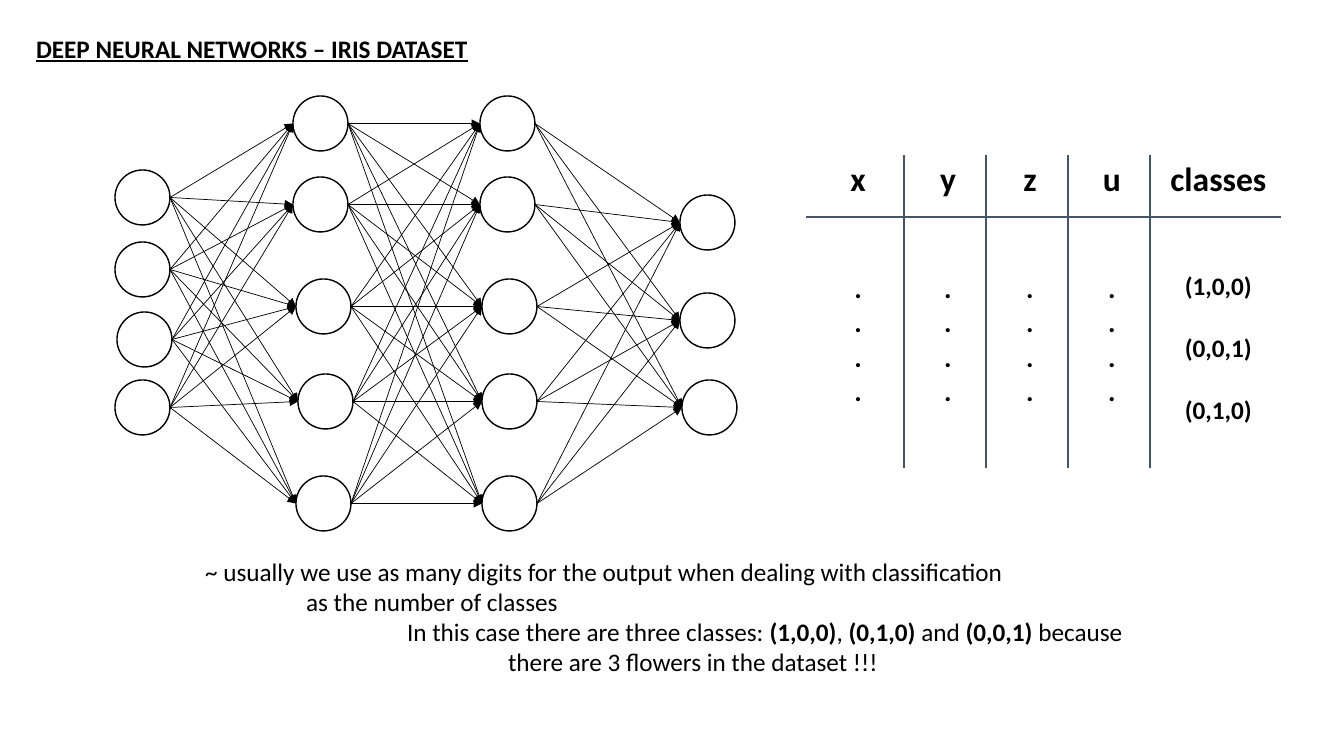
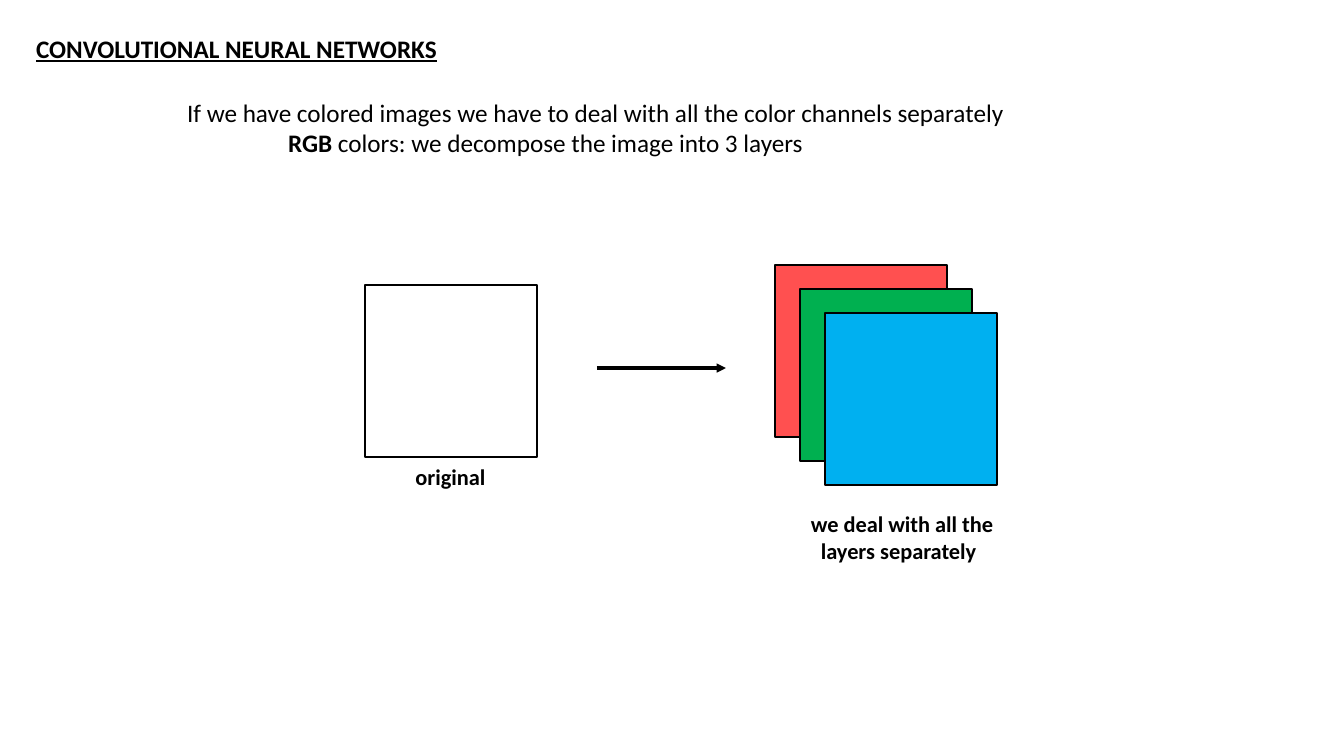
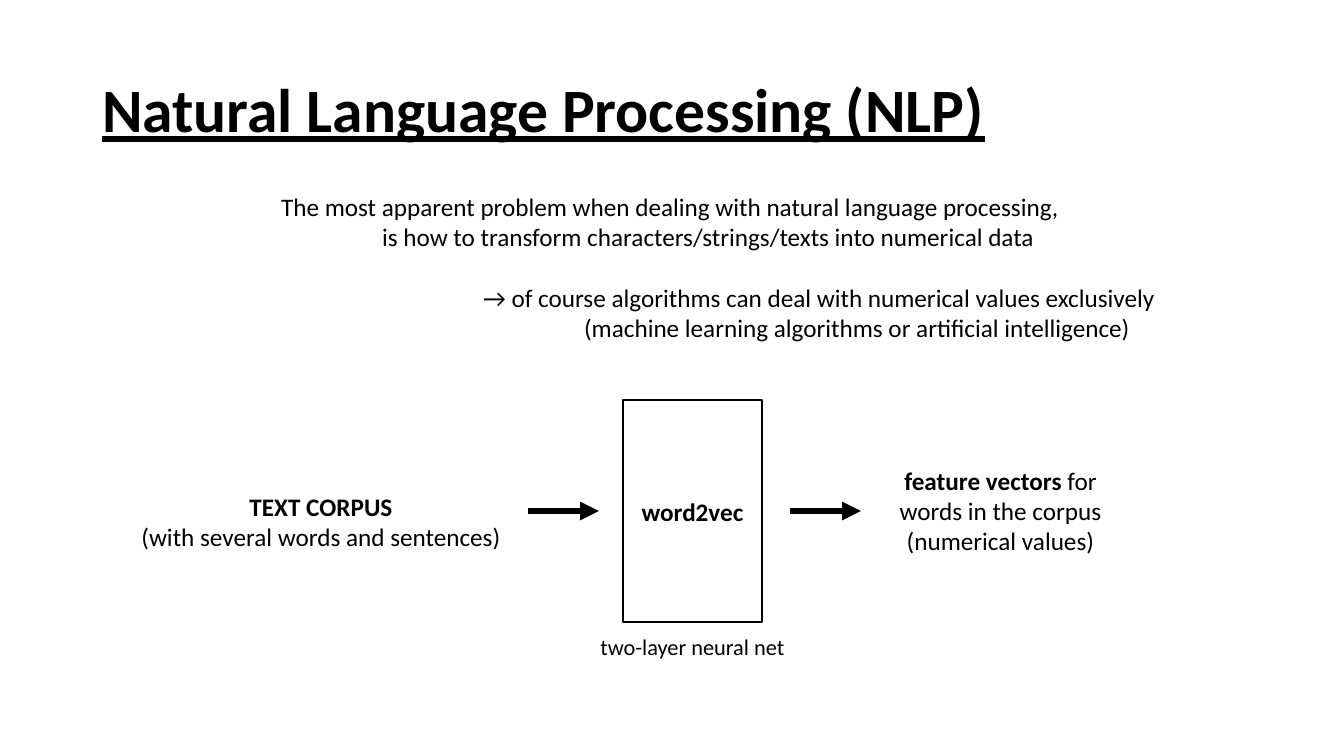
from collections import namedtuple
from itertools import pairwise, product

from lxml import etree
from pptx import Presentation
from pptx.dml.color import RGBColor
from pptx.enum import shapes, text
from pptx.oxml import ns
from pptx.util import Emu, Pt

Box = namedtuple("Box", "left top width height")

PX = 12192000 / 1344
FONT = "Calibri"
BLACK = RGBColor(0x00, 0x00, 0x00)
WHITE = RGBColor(0xFF, 0xFF, 0xFF)
SLATE = RGBColor(0x44, 0x54, 0x6A)
RED = RGBColor(0xFF, 0x50, 0x50)
GREEN = RGBColor(0x00, 0xB0, 0x50)
BLUE = RGBColor(0x00, 0xB0, 0xF0)
LEFT = text.PP_ALIGN.LEFT
CENTER = text.PP_ALIGN.CENTER
TITLE_AND_BODY = 1
TAB = 101
NODE = 55
LINE_GAP = Pt(22)


def px(length):
    return Emu(round(length * PX))


def place(shape, box):
    shape.left, shape.top, shape.width, shape.height = map(px, box)


def write(frame, lines, size=18, align=LEFT, step=0, gaps=()):
    frame.word_wrap = True
    frame.text = "\n".join(lines)
    for index, (paragraph, line) in enumerate(zip(frame.paragraphs, lines)):
        paragraph.text = ""
        paragraph.alignment = align
        paragraph.space_before = LINE_GAP if index in gaps else Pt(0)
        properties = paragraph._p.get_or_add_pPr()
        properties.set("marL", str(px(step * index)))
        properties.set("indent", "0")
        etree.SubElement(properties, ns.qn("a:buNone"))
        for part, words in enumerate(line.split("*")):
            if words:
                run = paragraph.add_run()
                run.text = words
                run.font.name = FONT
                run.font.size = Pt(size)
                run.font.bold = part % 2 == 1
                run.font.color.rgb = BLACK


def add_label(slide, box, lines, size=18, align=CENTER, step=0):
    label = slide.shapes.add_textbox(*map(px, box))
    write(label.text_frame, lines, size, align, step)


def add_outlined(slide, preset, box, fill=None):
    outlined = slide.shapes.add_shape(preset, *map(px, box))
    outlined.shadow.inherit = False
    if fill is None:
        outlined.fill.background()
    else:
        outlined.fill.solid()
        outlined.fill.fore_color.rgb = fill
    outlined.line.color.rgb = BLACK
    outlined.line.width = Pt(1)
    return outlined


def add_arrow(slide, start, end, width):
    arrow = slide.shapes.add_connector(
        shapes.MSO_CONNECTOR.STRAIGHT, *map(px, (*start, *end)))
    arrow.line.color.rgb = BLACK
    arrow.line.width = Pt(width)
    etree.SubElement(arrow.line._ln, ns.qn("a:tailEnd"), type="triangle")
    etree.SubElement(arrow._element.spPr, ns.qn("a:effectLst"))


def add_topic(deck, title_box, title, title_size, body_box, lines, gaps=()):
    slide = deck.slides.add_slide(deck.slide_layouts[TITLE_AND_BODY])
    heading, body = slide.placeholders
    place(heading, title_box)
    write(heading.text_frame, [f"*{title}*"], title_size)
    heading.text_frame.vertical_anchor = text.MSO_ANCHOR.MIDDLE
    heading.text_frame.paragraphs[0].line_spacing = 0.9
    heading.text_frame.paragraphs[0].runs[0].font.underline = True
    place(body, body_box)
    write(body.text_frame, lines, step=TAB, gaps=gaps)
    for frame in (heading.text_frame, body.text_frame):
        frame.auto_size = text.MSO_AUTO_SIZE.NONE
    return slide


def add_network(slide, box):
    layers = [
        [(0, 74), (0, 146), (2, 216), (0, 284)],
        [(178, 0), (178, 81), (181, 183), (183, 278), (181, 380)],
        [(365, 0), (365, 81), (367, 183), (367, 278), (367, 380)],
        [(565, 99), (565, 197), (567, 284)],
    ]
    layers = [[(box.left + x, box.top + y) for x, y in layer] for layer in layers]
    for layer in layers:
        for x, y in layer:
            add_outlined(slide, shapes.MSO_SHAPE.OVAL, Box(x, y, NODE, NODE), WHITE)
    for sources, targets in pairwise(layers):
        for (x1, y1), (x2, y2) in product(sources, targets):
            add_arrow(slide, (x1 + NODE, y1 + NODE / 2), (x2, y2 + NODE / 2), 0.5)


def rule_cell(cell, sides):
    properties = cell._tc.get_or_add_tcPr()
    for side in ("L", "R", "T", "B"):
        border = etree.SubElement(properties, ns.qn(f"a:ln{side}"), w=str(Pt(2.25)))
        if side in sides:
            fill = etree.SubElement(border, ns.qn("a:solidFill"))
            etree.SubElement(fill, ns.qn("a:srgbClr"), val=str(SLATE))
        else:
            etree.SubElement(border, ns.qn("a:noFill"))
    cell.fill.background()


def add_dataset(slide, box):
    headers = ["x", "y", "z", "u", "classes"]
    classes = ["*(1,0,0)*", "*(0,0,1)*", "*(0,1,0)*"]
    widths = [98, 82, 82, 82, box.width - 344]
    header_height = 62
    dataset = slide.shapes.add_table(2, len(headers), *map(px, box)).table
    dataset.first_row = dataset.horz_banding = False
    dataset.rows[0].height = px(header_height)
    dataset.rows[1].height = px(box.height - header_height)
    last = len(headers) - 1
    for column, (header, width) in enumerate(zip(headers, widths)):
        dataset.columns[column].width = px(width)
        sides = ("L" if column else "") + ("R" if column < last else "")
        top, values = dataset.cell(0, column), dataset.cell(1, column)
        write(top.text_frame, [f"*{header}*"], 24, CENTER)
        if column == last:
            write(values.text_frame, classes, 18, CENTER, gaps=(1, 2))
        else:
            write(values.text_frame, ["*.*"] * 4, 20, CENTER)
        for cell, edge, margin in ((top, "B", 5), (values, "T", 55)):
            cell.margin_left, cell.margin_right = px(10), px(4)
            cell.margin_top = px(margin)
            rule_cell(cell, sides + edge)


def add_channels(slide, box):
    side = 172
    square = shapes.MSO_SHAPE.RECTANGLE
    add_outlined(slide, square, Box(box.left, box.top + 20, side, side), WHITE)
    add_label(slide, Box(box.left + 35, box.top + 193, 101, 37), ["*original*"], 16)
    middle = box.top + 103
    add_arrow(slide, (box.left + 232, middle), (box.left + 361, middle), 2.25)
    for index, colour in enumerate((RED, GREEN, BLUE)):
        layer = Box(box.left + 410 + 25 * index, box.top + 24 * index, side, side)
        add_outlined(slide, square, layer, colour)
    add_label(slide, Box(box.left + 436, box.top + 240, 215, 65),
              ["*we deal with all the*", "*layers separately*"], 16, LEFT, 10)


def add_embedding(slide, box):
    middle = box.top + 111
    add_label(slide, Box(box.left, box.top + 86, 384, 72),
              ["*TEXT CORPUS*", "(with several words and sentences)"])
    model = add_outlined(slide, shapes.MSO_SHAPE.RECTANGLE,
                         Box(box.left + 494, box.top, 139, 222))
    write(model.text_frame, ["*word2vec*"], align=CENTER)
    model.text_frame.vertical_anchor = text.MSO_ANCHOR.MIDDLE
    add_label(slide, Box(box.left + 456, box.top + 228, 215, 37),
              ["two-layer neural net"], 16)
    for start in (399, 661):
        add_arrow(slide, (box.left + start, middle), (box.left + start + 71, middle), 4.5)
    add_label(slide, Box(box.left + 759, box.top + 60, 225, 102),
              ["*feature vectors* for", "words in the corpus", "(numerical values)"])


def main():
    deck = Presentation()
    deck.slide_width, deck.slide_height = px(1344), px(756)

    iris = add_topic(
        deck, Box(26, 30, 460, 40), "DEEP NEURAL NETWORKS – IRIS DATASET", 18,
        Box(195, 551, 952, 132),
        ["~ usually we use as many digits for the output when dealing with classification",
         "as the number of classes",
         "In this case there are three classes: *(1,0,0)*, *(0,1,0)* and *(0,0,1)* because",
         "there are 3 flowers in the dataset !!!"])
    add_network(iris, Box(115, 96, 622, 435))
    add_dataset(iris, Box(806, 155, 475, 313))

    convolution = add_topic(
        deck, Box(26, 30, 430, 40), "CONVOLUTIONAL NEURAL NETWORKS", 18,
        Box(177, 92, 848, 72),
        ["If we have colored images we have to deal with all the color channels separately",
         "*RGB* colors: we decompose the image into 3 layers"])
    add_channels(convolution, Box(365, 265, 651, 305))

    language = add_topic(
        deck, Box(92, 40, 1159, 146), "Natural Language Processing (NLP)", 44,
        Box(271, 186, 905, 163),
        ["The most apparent problem when dealing with natural language processing,",
         "is how to transform characters/strings/texts into numerical data",
         "→ of course algorithms can deal with numerical values exclusively",
         "(machine learning algorithms or artificial intelligence)"],
        gaps=(2,))
    add_embedding(language, Box(129, 400, 984, 265))

    deck.save("out.pptx")


if __name__ == "__main__":
    main()
